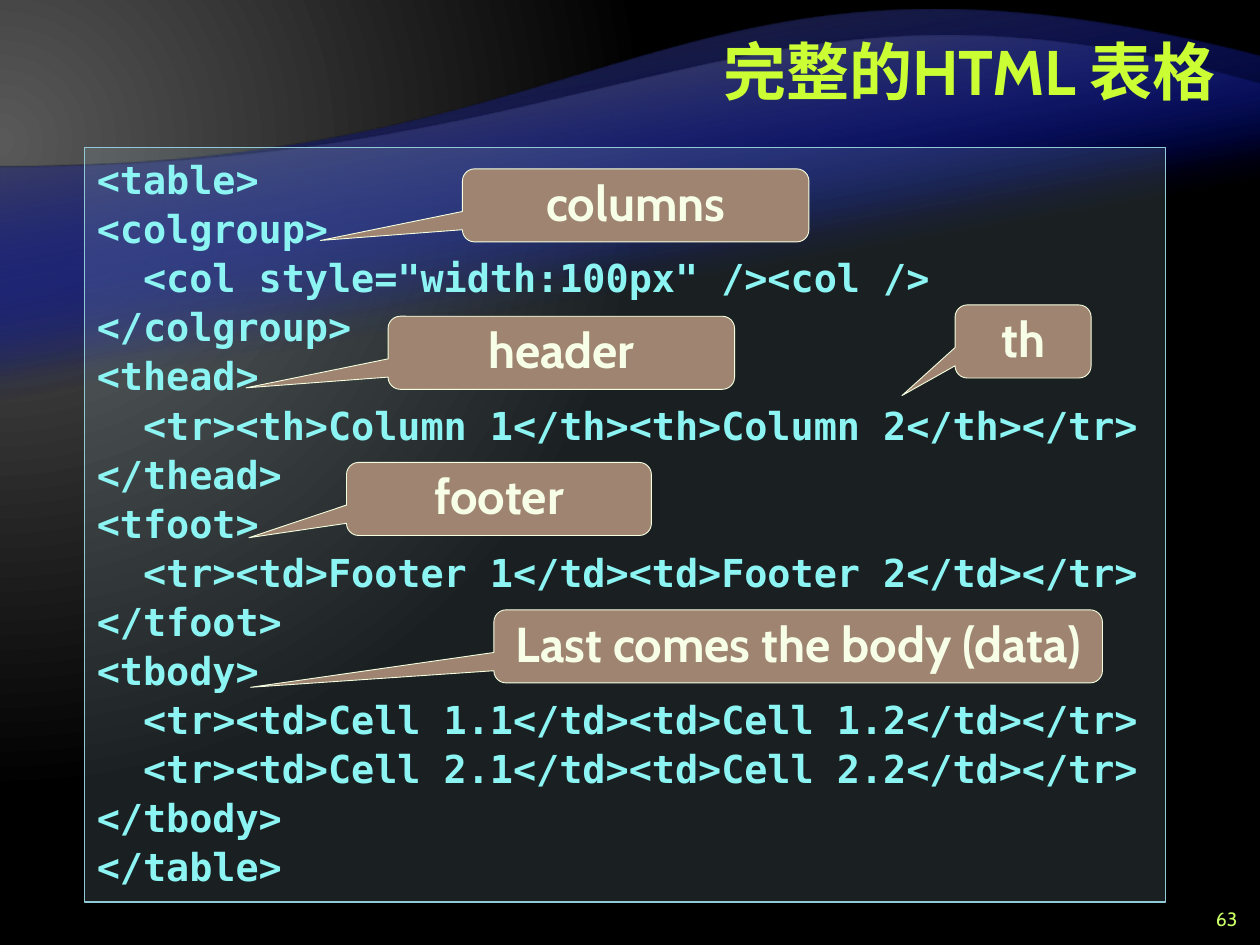
"""Build the slide on the parts of a complete HTML table, with callouts on the code."""
from lxml import etree
from pptx import Presentation
from pptx import util as u
from pptx.dml.color import RGBColor
from pptx.enum import shapes, text
from pptx.oxml import ns

COLORS = {
    "glow": "595959", "night": "000000", "wave": "000D9E", "crest": "262626",
    "title": "CCFF33", "number": "CCFF66",
    "code": "8CF4F2", "panel": "B5DBE5", "panel_line": "90CAD7",
    "callout": "9F8471", "callout_line": "F5FFE0", "callout_text": "F7FFE7",
}


def write(shape, content, size, color, font="Cabin", bold=True, spacing=None,
          align=text.PP_ALIGN.LEFT, anchor=text.MSO_ANCHOR.TOP,
          fit=text.MSO_AUTO_SIZE.NONE):
    frame = shape.text_frame
    frame.word_wrap = True
    frame.auto_size = fit
    frame.vertical_anchor = anchor
    frame.text = content
    for paragraph in frame.paragraphs:
        paragraph.alignment = align
        paragraph.line_spacing = u.Pt(spacing) if spacing else None
        face = paragraph.runs[0].font
        face.name, face.size, face.bold = font, u.Pt(size), bold
        face.color.rgb = RGBColor.from_string(COLORS[color])


def set_gradient(fill, element, stops):
    fill.gradient()
    gradient = element.find(".//" + ns.qn("a:gradFill"))
    gradient.clear()
    stop_list = etree.SubElement(gradient, ns.qn("a:gsLst"))
    for position, color, alpha in stops:
        stop = etree.SubElement(stop_list, ns.qn("a:gs"), pos=str(position * 1000))
        rgb = etree.SubElement(stop, ns.qn("a:srgbClr"), val=COLORS[color])
        etree.SubElement(rgb, ns.qn("a:alpha"), val=str(alpha * 1000))
    return gradient


prs = Presentation()
prs.slide_width, prs.slide_height = u.Inches(10), u.Inches(7.5)
slide = prs.slides.add_slide(prs.slide_layouts[5])

glow = set_gradient(slide.background.fill, slide.element,
                    [(0, "glow", 100), (83, "night", 100)])
circle = etree.SubElement(glow, ns.qn("a:path"))
circle.set("path", "circle")
etree.SubElement(circle, ns.qn("a:fillToRect"), l="20000", t="30000", r="135000", b="100000")

UNITS = 100
waves = [
    (0.45, 6.53, [(5, 1.33), (5.34, -0.75)], "crest"),
    (0.67, 5.57, [(5, 1.33), (5.98, -0.49)], "glow"),
]
for top, bottom, controls, top_color in waves * 2:
    corners = [(x * UNITS, y * UNITS) for x, y in [(0, 1.33), (10, top), (10, bottom)]]
    outline = slide.shapes.build_freeform(0, bottom * UNITS, scale=u.Inches(1) / UNITS)
    outline.add_line_segments(corners, close=True)
    wave = outline.convert_to_shape()
    crest = wave.element.findall(".//" + ns.qn("a:lnTo"))[1]
    curve = etree.Element(ns.qn("a:cubicBezTo"))
    for x, y in controls:
        etree.SubElement(curve, ns.qn("a:pt"), x=str(round(x * UNITS)),
                         y=str(round((y - top) * UNITS)))
    curve.append(crest[0])
    crest.getparent().replace(crest, curve)
    wave.shadow.inherit = False
    wave.line.fill.background()
    fade = set_gradient(wave.fill, wave.element, [(0, top_color, 100), (35, "wave", 0)])
    etree.SubElement(fade, ns.qn("a:lin"), ang=str(80 * 60000), scaled="0")

title = slide.shapes.title
title.element.getparent().append(title.element)
title.left, title.top = u.Inches(2), u.Inches(0.08)
title.width, title.height = u.Inches(7.75), u.Inches(1)
write(title, "完整的HTML 表格", 36, "title", spacing=40,
      align=text.PP_ALIGN.RIGHT, anchor=text.MSO_ANCHOR.MIDDLE)

number = slide.shapes.add_textbox(u.Inches(9.42), u.Inches(7.17), u.Inches(0.5), u.Inches(0.25))
write(number, "63", 11, "number", bold=False,
      align=text.PP_ALIGN.RIGHT, anchor=text.MSO_ANCHOR.MIDDLE)

code = """<table>
<colgroup>
  <col style="width:100px" /><col />
</colgroup>
<thead>
  <tr><th>Column 1</th><th>Column 2</th></tr>
</thead>
<tfoot>
  <tr><td>Footer 1</td><td>Footer 2</td></tr>
</tfoot>
<tbody>
  <tr><td>Cell 1.1</td><td>Cell 1.2</td></tr>
  <tr><td>Cell 2.1</td><td>Cell 2.2</td></tr>
</tbody>
</table>"""
panel = slide.shapes.add_shape(shapes.MSO_SHAPE.RECTANGLE, u.Inches(0.67), u.Inches(1.17),
                               u.Inches(8.58), u.Inches(5.99))
panel.shadow.inherit = False
panel.fill.solid()
panel.fill.fore_color.rgb = RGBColor.from_string(COLORS["panel"])
panel_rgb = panel.element.spPr.find(ns.qn("a:solidFill")).find(ns.qn("a:srgbClr"))
etree.SubElement(panel_rgb, ns.qn("a:alpha"), val="15000")
panel.line.color.rgb = RGBColor.from_string(COLORS["panel_line"])
panel.line.width = u.Pt(1)
write(panel, code, 22, "code", font="DejaVu Sans Mono", spacing=28,
      fit=text.MSO_AUTO_SIZE.SHAPE_TO_FIT_TEXT)

callouts = [
    ("header", 3.08, 2.51, 2.75, -0.91, 0.48),
    ("footer", 2.75, 3.67, 2.42, -0.82, 0.53),
    ("Last comes the body (data)", 3.92, 4.84, 4.83, -0.9, 0.56),
    ("th", 7.58, 2.42, 1.08, -0.89, 0.74),
    ("columns", 3.67, 1.34, 2.75, -0.91, 0.48),
]
for label, left, top, width, tip_x, tip_y in callouts:
    callout = slide.shapes.add_shape(shapes.MSO_SHAPE.ROUNDED_RECTANGULAR_CALLOUT,
                                     u.Inches(left), u.Inches(top),
                                     u.Inches(width), u.Inches(0.58))
    callout.adjustments[0], callout.adjustments[1] = tip_x, tip_y
    callout.shadow.inherit = False
    callout.fill.solid()
    callout.fill.fore_color.rgb = RGBColor.from_string(COLORS["callout"])
    callout.line.color.rgb = RGBColor.from_string(COLORS["callout_line"])
    callout.line.width = u.Pt(0.5)
    write(callout, label, 28, "callout_text", spacing=30, align=text.PP_ALIGN.CENTER,
          fit=text.MSO_AUTO_SIZE.SHAPE_TO_FIT_TEXT)

prs.save("out.pptx")
